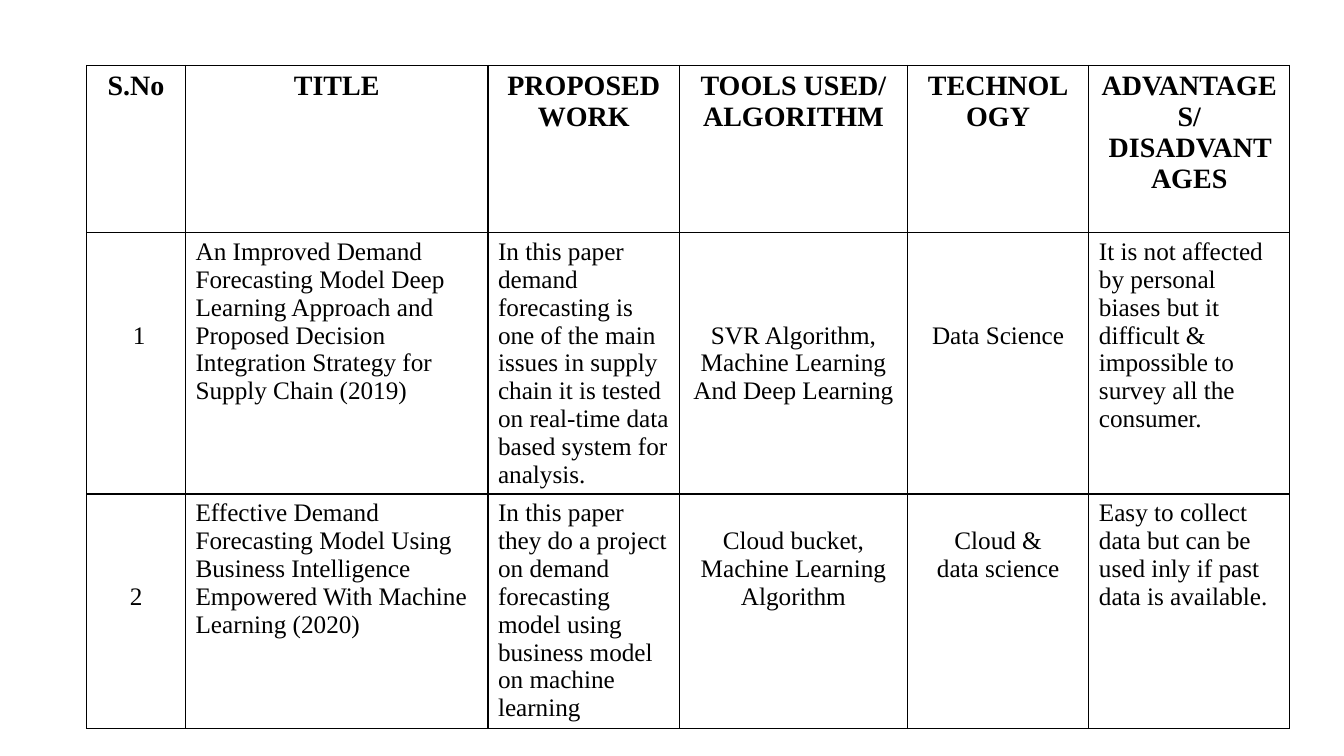
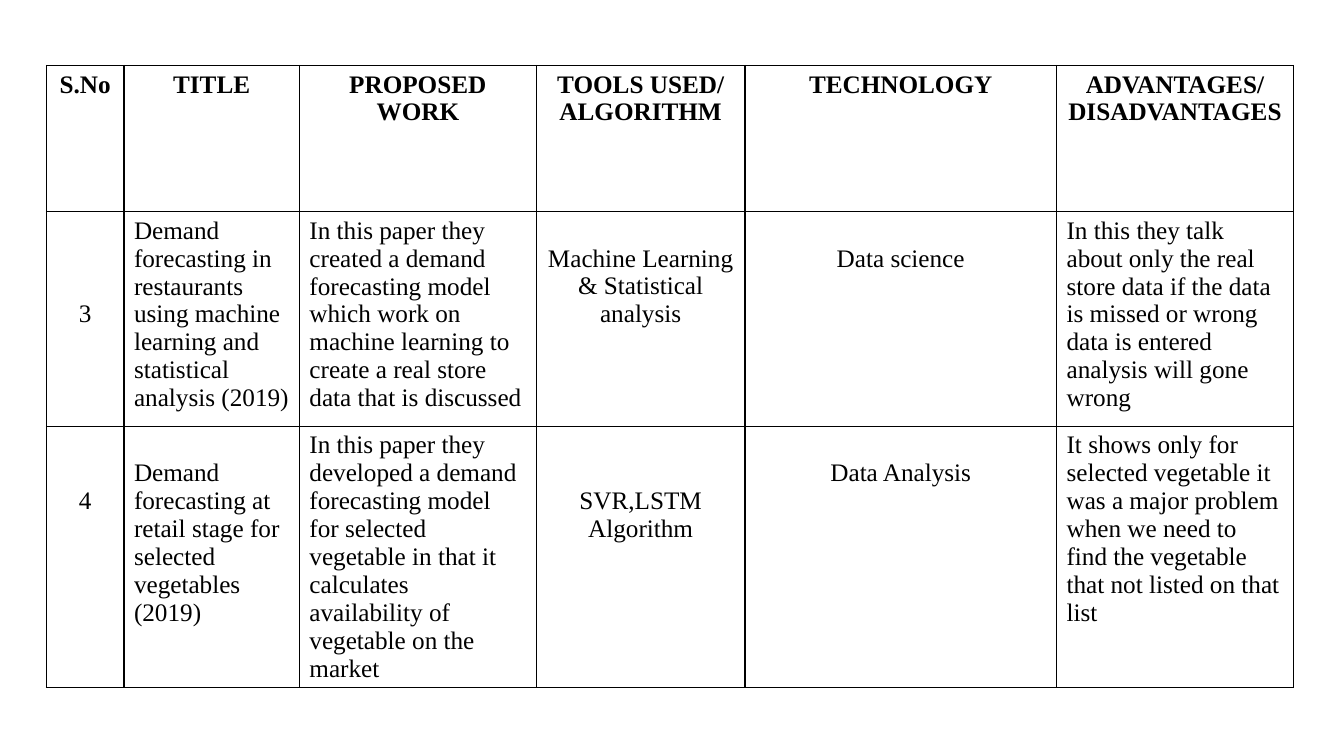
"""Build two literature survey slides, each holding one bordered table."""
import pptx
import pptx.dml.color
import pptx.enum.text
import pptx.oxml
import pptx.oxml.ns
import pptx.util

COLORS = {"ink": "000000", "paper": "FFFFFF"}
FONT = "Times New Roman"
SLIDE_SIZE = (13.33, 7.5)
TABLE_TOP = 0.65
BODY_SIZE = 18
CELL_MARGIN = 0.05
LINE_SPACING = 1.107
BORDER_POINTS = 1
CENTERED_COLUMNS = (0, 3, 4)

HEADERS = (
    "S.No", "TITLE", "PROPOSED WORK", "TOOLS USED/\nALGORITHM",
    "TECHNOLOGY", "ADVANTAGES/ DISADVANTAGES",
)

SURVEYS = (
    {
        "left": 0.86,
        "header_size": 20,
        "columns": (0.98, 3, 1.9, 2.26, 1.8, 1.99),
        "rows": (1.66, 2.59, 2.33),
        "papers": (
            {
                "texts": (
                    " 1",
                    "An Improved Demand Forecasting Model Deep Learning Approach and "
                    "Proposed Decision Integration Strategy for Supply Chain (2019)",
                    "In this paper demand forecasting is one of the main issues in supply "
                    "chain it is tested on real-time data based system for analysis.",
                    "SVR Algorithm,\nMachine Learning And Deep Learning",
                    "Data Science",
                    "It is not affected by personal biases but it difficult & impossible "
                    "to survey all the consumer.",
                ),
                "drops": (3, 0, 0, 3, 3, 0),
            },
            {
                "texts": (
                    "2",
                    "Effective Demand Forecasting Model Using Business Intelligence "
                    "Empowered With Machine Learning (2020)",
                    "In this paper they do a project on demand forecasting model using "
                    "business model on machine learning",
                    "Cloud bucket,\nMachine Learning Algorithm",
                    "Cloud &\ndata science",
                    "Easy to collect data but can be used inly if past data is available.",
                ),
                "drops": (3, 0, 0, 1, 1, 0),
            },
        ),
    },
    {
        "left": 0.46,
        "header_size": 18,
        "columns": (0.77, 1.74, 2.35, 2.07, 3.09, 2.35),
        "rows": (1.45, 2.13, 2.59),
        "papers": (
            {
                "texts": (
                    "3",
                    "Demand forecasting in restaurants using machine learning and "
                    "statistical analysis (2019)",
                    "In this paper they created a demand forecasting model which work on "
                    "machine learning to create a real store data that is discussed",
                    "Machine Learning & Statistical analysis",
                    "Data science",
                    "In this they talk about only the real store data if the data is missed "
                    "or wrong data is entered analysis will gone wrong",
                ),
                "drops": (3, 0, 0, 1, 1, 0),
            },
            {
                "texts": (
                    "4",
                    "Demand forecasting at retail stage for selected vegetables (2019)",
                    "In this paper they developed a demand forecasting model for selected "
                    "vegetable in that it calculates availability of vegetable on the market",
                    "SVR,LSTM Algorithm",
                    "Data Analysis",
                    "It shows only for selected vegetable it was a major problem when we "
                    "need to find the vegetable that not listed on that list",
                ),
                "drops": (2, 1, 0, 2, 1, 0),
            },
        ),
    },
)


def write_text(cell, text, size=BODY_SIZE, bold=False, centered=False, drop=0):
    line_height = size * LINE_SPACING / 72
    cell.margin_top = pptx.util.Inches(CELL_MARGIN + drop * line_height)
    frame = cell.text_frame
    frame.text = text
    alignments = pptx.enum.text.PP_ALIGN
    for paragraph in frame.paragraphs:
        paragraph.alignment = alignments.CENTER if centered else alignments.LEFT
        for run in paragraph.runs:
            run.font.name = FONT
            run.font.size = pptx.util.Pt(size)
            run.font.bold = bold
            run.font.color.rgb = pptx.dml.color.RGBColor.from_string(COLORS["ink"])


def style_cell(cell):
    properties = cell._tc.get_or_add_tcPr()
    namespace = pptx.oxml.ns.nsdecls("a")
    width = pptx.util.Pt(BORDER_POINTS)
    for side in "LRTB":
        properties.append(pptx.oxml.parse_xml(
            f'<a:ln{side} {namespace} w="{width}"><a:solidFill>'
            f'<a:srgbClr val="{COLORS["ink"]}"/></a:solidFill></a:ln{side}>'
        ))
    cell.fill.solid()
    cell.fill.fore_color.rgb = pptx.dml.color.RGBColor.from_string(COLORS["paper"])


def add_survey(slide, survey):
    columns, rows = survey["columns"], survey["rows"]
    bounds = (survey["left"], TABLE_TOP, sum(columns), sum(rows))
    table = slide.shapes.add_table(
        len(rows), len(columns), *map(pptx.util.Inches, bounds)
    ).table
    table.first_row = table.horz_banding = False
    for column, width in zip(table.columns, columns):
        column.width = pptx.util.Inches(width)
    for row, height in zip(table.rows, rows):
        row.height = pptx.util.Inches(height)
    for cell in table.iter_cells():
        style_cell(cell)
    for index, header in enumerate(HEADERS):
        write_text(table.cell(0, index), header, size=survey["header_size"],
                   bold=True, centered=True)
    for row_index, paper in enumerate(survey["papers"], start=1):
        for index, (text, drop) in enumerate(zip(paper["texts"], paper["drops"])):
            write_text(table.cell(row_index, index), text, drop=drop,
                       centered=index in CENTERED_COLUMNS)


presentation = pptx.Presentation()
presentation.slide_width, presentation.slide_height = map(pptx.util.Inches, SLIDE_SIZE)
for survey in SURVEYS:
    add_survey(presentation.slides.add_slide(presentation.slide_layouts[6]), survey)
presentation.save("out.pptx")
